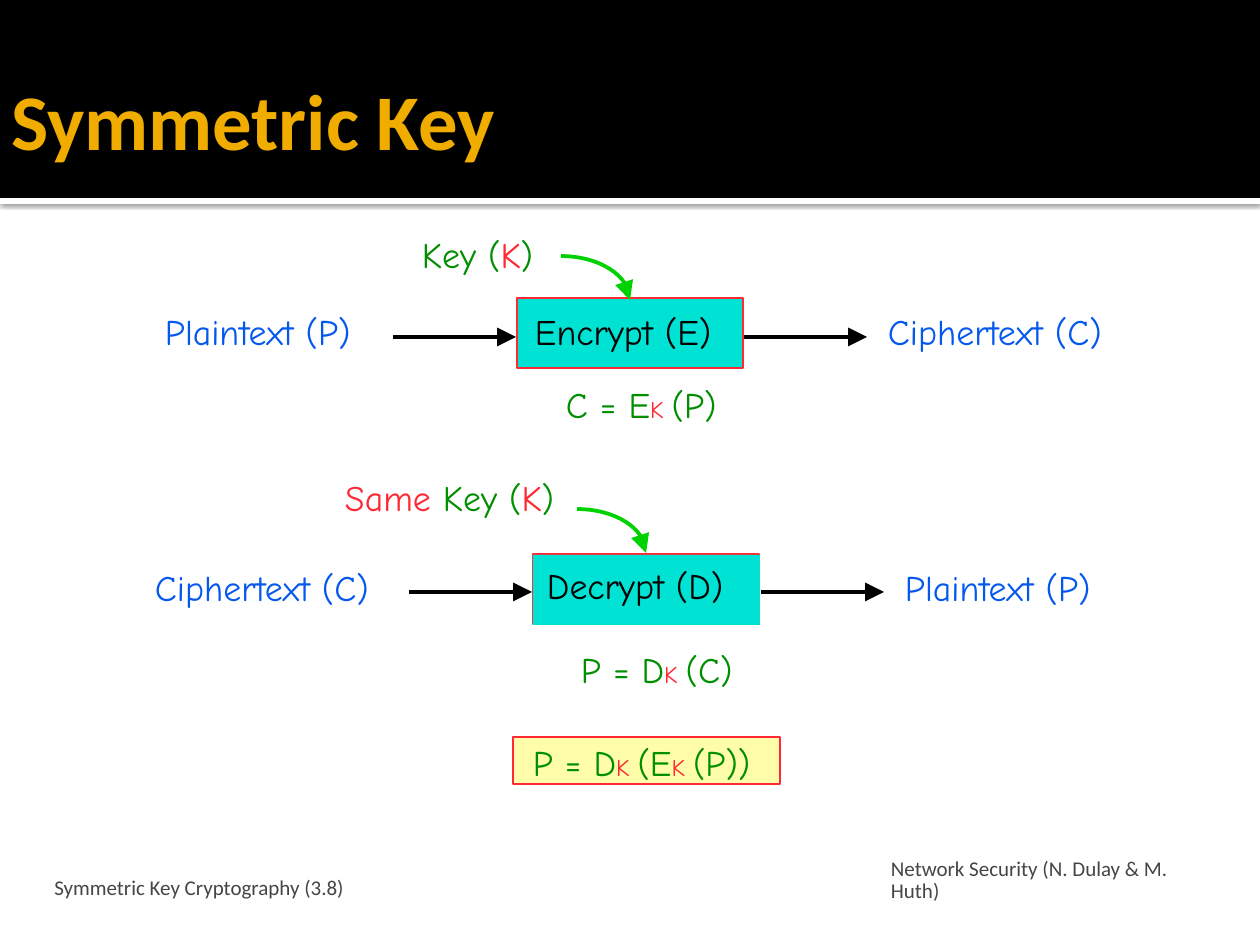
from math import cos, pi, sin
from lxml.etree import SubElement
from pptx import Presentation
from pptx.dml.color import RGBColor
from pptx.enum.shapes import MSO_CONNECTOR as Link, MSO_SHAPE as Kind
from pptx.enum.text import MSO_ANCHOR as Anchor, PP_ALIGN as Align
from pptx.oxml import parse_xml
from pptx.oxml.ns import nsdecls, qn
from pptx.util import Emu, Pt

hue = RGBColor.from_string
GREEN, RED, BLUE, BLACK, GRAY = "008F00", "FF2833", "0558ED", "000000", "454545"
CYAN, LIME = "00E3D4", "00D100"


def px(n):
    return Emu(round(n * 914400 / 126))


def write(frame, text, hues=(GREEN, RED), sizes=(20.5, 20.5), font="Comic Neue",
          bold=False, inset=(0, 0), anchor=Anchor.TOP, align=Align.LEFT,
          space=None, after=None):
    frame.word_wrap = True
    frame.vertical_anchor = anchor
    frame.margin_left, frame.margin_top = map(px, inset)
    frame.margin_right = frame.margin_bottom = 0
    for n, line in enumerate(text.split("\n")):
        para = frame.add_paragraph() if n else frame.paragraphs[0]
        para.alignment = align
        para.line_spacing = space
        para.space_after = after
        for i, part in enumerate(line.split("|")):
            if part:
                run = para.add_run()
                run.text = part
                run.font.name = font
                run.font.bold = bold
                run.font.size = Pt(sizes[i % 2])
                run.font.color.rgb = hue(hues[i % 2])


deck = Presentation()
deck.slide_width, deck.slide_height = px(1260), px(945)
slide = deck.slides.add_slide(deck.slide_layouts[5])
shapes = slide.shapes
title = shapes.title

rects = []
for x, y, w, h, fill, line in (
    (0, 198, 1260, 6, "FFFFFF", None),
    (0, 0, 1260, 198, BLACK, None),
    (533, 554, 226, 70, None, RED),
    (533, 555, 227, 70, CYAN, None),
    (517, 298, 226, 70, CYAN, RED),
    (513, 737, 267, 47, "FFFDA9", RED),
):
    rect = shapes.add_shape(Kind.RECTANGLE, px(x), px(y), px(w), px(h))
    rect.shadow.inherit = False
    if fill:
        rect.fill.solid()
        rect.fill.fore_color.rgb = hue(fill)
    else:
        rect.fill.background()
    if line:
        rect.line.color.rgb = hue(line)
        rect.line.width = Pt(0.96)
    else:
        rect.line.fill.background()
    rects.append(rect)

rule, band, edge, dec, enc, proof = rects
for rect in (rule, band):
    title._element.addprevious(rect._element)
glow = rule._element.spPr.find(qn("a:effectLst"))
glow.append(parse_xml(
    f'<a:outerShdw {nsdecls("a")} blurRad="31750" dist="10160" dir="5400000">'
    '<a:srgbClr val="000000"><a:alpha val="60000"/></a:srgbClr></a:outerShdw>'))

title.left, title.top, title.width, title.height = map(px, (10, 31, 1225, 129))
write(title.text_frame, "Symmetric Key", hues=("F0AD00",), sizes=(45, 45),
      font="Calibri", bold=True, inset=(1, 0), anchor=Anchor.MIDDLE,
      space=1.5, after=Pt(18))

write(enc.text_frame, "Encrypt (E)", hues=(BLACK,), inset=(18, 12))
write(dec.text_frame, "Decrypt (D)", hues=(BLACK,), inset=(14, 9))
write(proof.text_frame, "P = D|K |(E|K |(P))", sizes=(20.5, 13.7), inset=(20, 4))

for x, y, text, look in (
    (165, 310, "Plaintext (P)", {"hues": (BLUE,)}),
    (888, 310, "Ciphertext (C)", {"hues": (BLUE,)}),
    (155, 566, "Ciphertext (C)", {"hues": (BLUE,)}),
    (905, 566, "Plaintext (P)", {"hues": (BLUE,)}),
    (422, 233, "Key (|K|)", {}),
    (345, 476, "|Same |Key (|K|)", {}),
    (566, 383, "C = E|K |(P)", {"sizes": (20.5, 13.7)}),
    (581, 648, "P = D|K |(C)", {"sizes": (20.5, 13.7)}),
):
    box = shapes.add_textbox(px(x), px(y), px(250), px(44))
    write(box.text_frame, text, **look)

for x, y, w, h, text, align in (
    (25, 877, 319, 23, "Symmetric Key Cryptography (3.8)", Align.RIGHT),
    (891, 855, 317, 48, "Network Security (N. Dulay & M.\nHuth)", Align.LEFT),
):
    box = shapes.add_textbox(px(x), px(y), px(w), px(h))
    write(box.text_frame, text, hues=(GRAY,), sizes=(12, 12), font="Calibri",
          anchor=Anchor.BOTTOM, align=align, space=Pt(12.7))

arrows = []
for x, y in ((393, 337), (744, 337), (409, 592), (761, 592)):
    arrow = shapes.add_connector(Link.STRAIGHT, px(x), px(y), px(x + 123), px(y))
    SubElement(arrow._element.spPr, qn("a:effectLst"))
    arrows.append((arrow, BLACK))

for x, y in ((561, 256), (577, 509)):
    pen = shapes.build_freeform(px(x), px(y))
    turns = [i * pi / 32 for i in range(1, 17)]
    pen.add_line_segments(
        [(px(x + 69 * sin(t)), px(y + 44 - 44 * cos(t))) for t in turns], close=False)
    curve = pen.convert_to_shape()
    curve.shadow.inherit = False
    curve.fill.background()
    arrows.append((curve, LIME))

for arrow, tint in arrows:
    arrow.line.color.rgb = hue(tint)
    arrow.line.width = Pt(2.16)
    SubElement(arrow.line._get_or_add_ln(), qn("a:tailEnd"),
               type="triangle", w="lg", len="lg")

deck.save("out.pptx")
